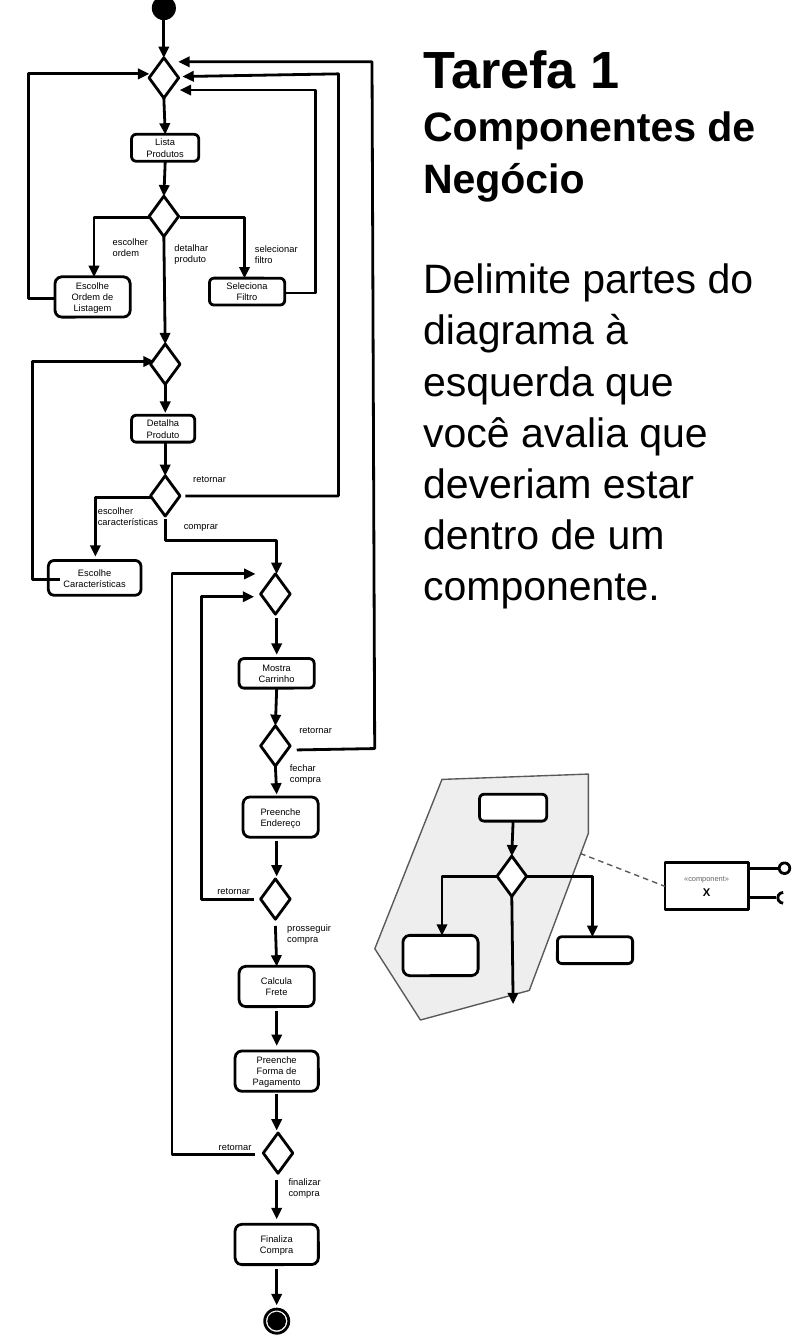
from dataclasses import dataclass

from lxml.etree import SubElement
from pptx import Presentation
from pptx.dml.color import RGBColor
from pptx.enum.dml import MSO_LINE
from pptx.enum.shapes import MSO_CONNECTOR, MSO_SHAPE
from pptx.enum.text import MSO_ANCHOR, MSO_AUTO_SIZE, PP_ALIGN
from pptx.oxml.ns import qn
from pptx.util import Pt

EMU_PER_PX = 9144
INSET = 10
JOIN_TOLERANCE = 1
Point = tuple[int, int]


@dataclass(frozen=True)
class Theme:
    font: str = "Arial"
    ink: RGBColor = RGBColor(0, 0, 0)
    paper: RGBColor = RGBColor(255, 255, 255)
    region: RGBColor = RGBColor(0xEE, 0xEE, 0xEE)
    outline: RGBColor = RGBColor(0x59, 0x59, 0x59)
    stereotype: RGBColor = RGBColor(0x66, 0x66, 0x66)
    heading_size: int = 28
    body_size: int = 22
    label_size: int = 5
    stereotype_size: int = 4
    component_size: int = 6
    stroke: float = 1.5
    thin: float = 0.75


@dataclass(frozen=True)
class Node:
    left: int
    top: int
    width: int
    height: int
    text: str = ""
    kind: MSO_SHAPE = MSO_SHAPE.ROUNDED_RECTANGLE

    def sides(self) -> list[tuple[float, float]]:
        middle, center = self.top + self.height / 2, self.left + self.width / 2
        return [(center, self.top), (self.left, middle),
                (center, self.top + self.height), (self.left + self.width, middle)]


@dataclass(frozen=True)
class Label:
    left: int
    top: int
    text: str
    width: int = 56


@dataclass(frozen=True)
class Link:
    start: Point
    end: Point
    arrow: bool = True
    dashed: bool = False


THEME = Theme()
ACTIVITIES = [
    Node(98, 100, 50, 20, "Lista\nProdutos"),
    Node(41, 206, 56, 30, "Escolhe\nOrdem de\nListagem"),
    Node(156, 207, 56, 20, "Seleciona\nFiltro"),
    Node(98, 309, 47, 20, "Detalha\nProduto"),
    Node(36, 417, 69, 26, "Escolhe Características"),
    Node(178, 490, 56, 22, "Mostra\nCarrinho"),
    Node(181, 593, 56, 30, "Preenche\vEndereço"),
    Node(178, 719, 56, 30, "Calcula\nFrete"),
    Node(175, 782, 62, 30, "Preenche Forma de\nPagamento"),
    Node(175, 911, 62, 30, "Finaliza\nCompra"),
    Node(357, 591, 50, 20),
    Node(300, 696, 56, 30),
    Node(415, 697, 56, 20),
]
DECISIONS = [
    Node(left, top, 22, 30, kind=MSO_SHAPE.FLOWCHART_DECISION)
    for left, top in [(111, 43), (111, 146), (112, 256), (112, 354), (194, 427),
                      (194, 540), (194, 654), (196, 843), (370, 637)]
]
COMPONENT = Node(495, 642, 62, 35, "«component»\nX", MSO_SHAPE.RECTANGLE)
LINKS = [
    Link((122, 13), (122, 43)), Link((122, 73), (122, 100)),
    Link((123, 120), (123, 146)), Link((122, 176), (123, 256)),
    Link((123, 286), (123, 307)), Link((123, 329), (123, 354)),
    Link((206, 460), (206, 487)), Link((206, 513), (206, 539)),
    Link((206, 570), (206, 591)), Link((206, 626), (206, 652)),
    Link((205, 689), (205, 718)), Link((206, 752), (206, 778)),
    Link((206, 814), (206, 841)), Link((206, 878), (206, 907)),
    Link((206, 944), (206, 971)), Link((381, 611), (381, 637)),
    Link((381, 667), (382, 747)),
    Link((558, 646), (580, 646), arrow=False),
    Link((558, 668), (578, 668), arrow=False),
    Link((432, 635), (495, 659), arrow=False, dashed=True),
]
ROUTES: list[list[Point]] = [
    [(111, 162), (70, 162), (70, 206)],
    [(134, 162), (182, 162), (182, 207)],
    [(213, 218), (235, 218), (235, 67), (134, 67)],
    [(41, 222), (21, 222), (21, 55), (111, 55)],
    [(138, 369), (252, 369), (252, 55), (136, 57)],
    [(45, 431), (24, 431), (24, 269), (115, 269)],
    [(113, 370), (71, 370), (71, 414)],
    [(123, 386), (123, 402), (206, 402), (206, 427)],
    [(221, 558), (279, 557), (277, 46), (133, 46)],
    [(189, 669), (150, 669), (150, 444), (189, 444)],
    [(190, 859), (128, 859), (128, 427), (190, 427)],
    [(370, 652), (329, 652), (329, 696)],
    [(392, 652), (441, 652), (441, 697)],
]
REGION: list[Point] = [(329, 580), (279, 706), (313, 759), (394, 737), (438, 620), (438, 576)]
LABELS = [
    Label(74, 166, "escolher\nordem", 69), Label(120, 170, "detalhar\nproduto", 69),
    Label(180, 171, "selecionar\nfiltro"), Label(134, 342, "retornar"),
    Label(127, 377, "comprar"), Label(63, 366, "escolher\ncaracterísticas", 69),
    Label(206, 557, "fechar\ncompra"), Label(213, 529, "retornar"),
    Label(204, 676, "prosseguir\ncompra"), Label(152, 649, "retornar"),
    Label(205, 865, "finalizar\ncompra"), Label(153, 839, "retornar"),
]


def px(length: float) -> int:
    return round(length * EMU_PER_PX)


def set_font(paragraph, size: int, color: RGBColor = THEME.ink, bold: bool = False) -> None:
    for run in paragraph.runs:
        run.font.name, run.font.size, run.font.bold = THEME.font, Pt(size), bold
        run.font.color.rgb = color


def set_frame(frame, text: str, anchor: MSO_ANCHOR, align: PP_ALIGN) -> None:
    frame.text = text
    frame.word_wrap = True
    frame.auto_size = MSO_AUTO_SIZE.NONE
    frame.vertical_anchor = anchor
    frame.margin_left = frame.margin_right = px(INSET)
    frame.margin_top = frame.margin_bottom = px(INSET)
    for paragraph in frame.paragraphs:
        paragraph.alignment = align
        set_font(paragraph, THEME.label_size)


def set_stroke(line, color: RGBColor = THEME.ink, width: float = THEME.stroke) -> None:
    line.color.rgb, line.width = color, Pt(width)


def add_arrowhead(line_shape) -> None:
    SubElement(line_shape.line._get_or_add_ln(), qn("a:tailEnd"), type="triangle")


def draw_node(slide, node: Node, fill: RGBColor = THEME.paper):
    shape = slide.shapes.add_shape(node.kind, px(node.left), px(node.top), px(node.width), px(node.height))
    shape.shadow.inherit = False
    shape.fill.solid()
    shape.fill.fore_color.rgb = fill
    set_stroke(shape.line)
    if node.text:
        set_frame(shape.text_frame, node.text, MSO_ANCHOR.MIDDLE, PP_ALIGN.CENTER)
    return shape


def draw_path(slide, points: list[Point], closed: bool = False):
    builder = slide.shapes.build_freeform(*points[0], scale=EMU_PER_PX)
    builder.add_line_segments(points[1:], close=closed)
    outline = builder.convert_to_shape()
    outline.shadow.inherit = False
    return outline


def draw_link(slide, link: Link, drawn: list[tuple]) -> None:
    connector = slide.shapes.add_connector(MSO_CONNECTOR.STRAIGHT, *map(px, link.start + link.end))
    set_stroke(connector.line)
    if link.dashed:
        set_stroke(connector.line, THEME.outline, THEME.thin)
        connector.line.dash_style = MSO_LINE.DASH
    if link.arrow:
        add_arrowhead(connector)
    SubElement(connector._element.spPr, qn("a:effectLst"))
    for (x, y), join in ((link.start, connector.begin_connect), (link.end, connector.end_connect)):
        for node, shape in drawn:
            for side, (side_x, side_y) in enumerate(node.sides()):
                if max(abs(x - side_x), abs(y - side_y)) <= JOIN_TOLERANCE:
                    join(shape, side)


def draw_label(slide, label: Label) -> None:
    height = 30 if "\n" in label.text else 20
    box = slide.shapes.add_textbox(px(label.left), px(label.top), px(label.width), px(height))
    set_frame(box.text_frame, label.text, MSO_ANCHOR.TOP, PP_ALIGN.LEFT)


def draw_title(slide) -> None:
    title = slide.shapes.title
    title.left, title.top, title.width, title.height = map(px, (305, 15, 274, 445))
    set_frame(title.text_frame,
              "Tarefa 1\nComponentes de Negócio\nDelimite partes do diagrama à esquerda "
              "que você avalia que deveriam estar dentro de um componente.",
              MSO_ANCHOR.TOP, PP_ALIGN.LEFT)
    heading, subject, task = title.text_frame.paragraphs
    for paragraph in (heading, subject, task):
        paragraph.line_spacing = 1.04
    set_font(heading, THEME.heading_size, bold=True)
    set_font(subject, THEME.body_size, bold=True)
    set_font(task, THEME.body_size)
    task.space_before = Pt(26.4)


def draw_terminals(slide) -> None:
    for left, top, size, fill in ((113, -3, 18, THEME.ink), (197, 974, 18, THEME.paper),
                                  (199, 976, 14, THEME.ink)):
        dot = draw_node(slide, Node(left, top, size, size, kind=MSO_SHAPE.OVAL), fill)
        if fill == THEME.ink:
            dot.line.fill.background()


def draw_interfaces(slide) -> None:
    draw_node(slide, Node(580, 642, 8, 8, kind=MSO_SHAPE.OVAL))
    socket = draw_node(slide, Node(579, 664, 8, 8, kind=MSO_SHAPE.ARC))
    socket.fill.background()
    socket.adjustments[0], socket.adjustments[1] = 54, 162


def main() -> None:
    presentation = Presentation()
    presentation.slide_width, presentation.slide_height = px(600), px(1000)
    slide = presentation.slides.add_slide(presentation.slide_layouts[5])
    draw_title(slide)
    region = draw_path(slide, REGION, closed=True)
    region.fill.solid()
    region.fill.fore_color.rgb = THEME.region
    set_stroke(region.line, THEME.outline, THEME.thin)
    drawn = [(node, draw_node(slide, node)) for node in [*ACTIVITIES, *DECISIONS, COMPONENT]]
    stereotype, component_name = drawn[-1][1].text_frame.paragraphs
    set_font(stereotype, THEME.stereotype_size, THEME.stereotype)
    set_font(component_name, THEME.component_size, bold=True)
    component_name.space_before = Pt(1)
    for points in ROUTES:
        route = draw_path(slide, points)
        route.fill.background()
        set_stroke(route.line)
        add_arrowhead(route)
    for link in LINKS:
        draw_link(slide, link, drawn)
    draw_terminals(slide)
    draw_interfaces(slide)
    for label in LABELS:
        draw_label(slide, label)
    presentation.save("out.pptx")


if __name__ == "__main__":
    main()
